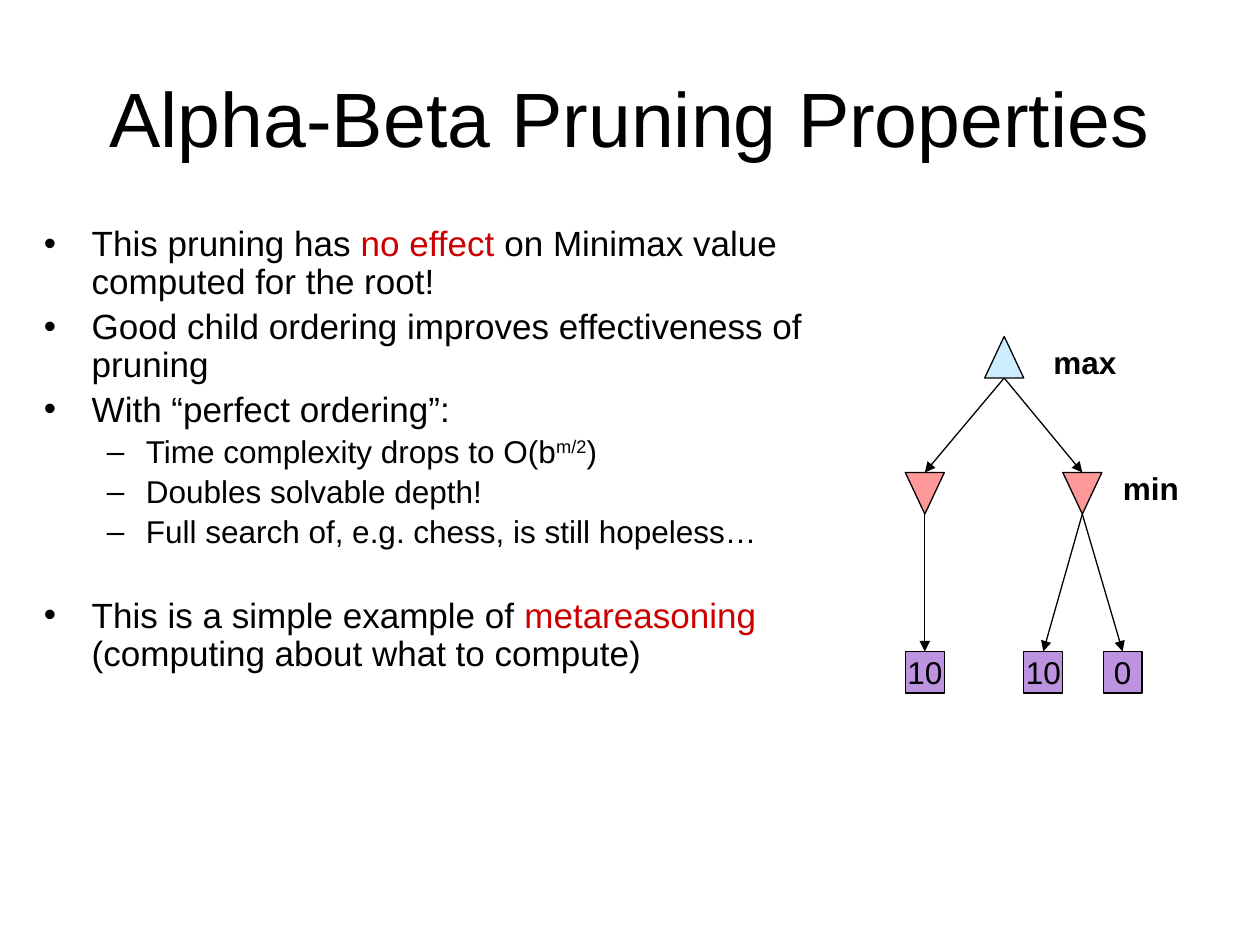
from lxml import etree
from pptx import Presentation
from pptx import util as u
from pptx.dml.color import RGBColor
from pptx.enum import shapes, text
from pptx.oxml.ns import qn

BLACK, RED = "000000", "CC0000"
MAX_FILL, MIN_FILL, LEAF_FILL = "CCECFF", "FF9999", "BD92DE"
NODE_WIDTH, NODE_HEIGHT = 0.31, 0.33
MAX_TOP, MIN_TOP, LEAF_TOP = 2.67, 3.75, 5.17

# Level: bullet, left margin, hanging indent, size, space before
LEVELS = [("•", 0.38, 0.38, 20, 4), ("–", 0.81, 0.31, 18, 3.6)]

# Each item: level, then runs of (text, style)
ITEMS = [
    (0, [("This pruning has ", ""), ("no effect", "red"),
         (" on Minimax value computed for the root!", "")]),
    (0, [("Good child ordering improves effectiveness of pruning", "")]),
    (0, [("With “perfect ordering”:", "")]),
    (1, [("Time complexity drops to O(b", ""), ("m/2", "super"), (")", "")]),
    (1, [("Doubles solvable depth!", "")]),
    (1, [("Full search of, e.g. chess, is still hopeless…", "")]),
    (0, [("This is a simple example of ", ""), ("metareasoning ", "red"),
         ("(computing about what to compute)", "")]),
]
LAST_ITEM_GAP = 27


def color(value):
    return RGBColor.from_string(value)


def style_run(run, size, value=BLACK, bold=False):
    run.font.name = "Arial"
    run.font.size = u.Pt(size)
    run.font.bold = bold
    run.font.color.rgb = color(value)


def add_text_box(slide, left, top, width, height, anchor):
    shape = slide.shapes.add_textbox(*map(u.Inches, (left, top, width, height)))
    shape.text_frame.word_wrap = True
    shape.text_frame.vertical_anchor = anchor
    return shape.text_frame


def add_label(slide, box, words, size, bold=False):
    frame = add_text_box(slide, *box, text.MSO_ANCHOR.MIDDLE)
    frame.text = words
    paragraph = frame.paragraphs[0]
    paragraph.alignment = text.PP_ALIGN.CENTER
    style_run(paragraph.runs[0], size, bold=bold)


def add_bullet(paragraph, level):
    bullet, margin, hanging, _, _ = LEVELS[level]
    paragraph.level = level
    properties = paragraph._p.get_or_add_pPr()
    properties.set("marL", str(u.Inches(margin)))
    properties.set("indent", str(-u.Inches(hanging)))
    etree.SubElement(properties, qn("a:buFont"), typeface="Arial")
    etree.SubElement(properties, qn("a:buChar"), char=bullet)


def add_bullet_list(slide):
    frame = add_text_box(slide, 0.25, 1.75, 6.83, 4.95, text.MSO_ANCHOR.TOP)
    for index, (level, runs) in enumerate(ITEMS):
        paragraph = frame.add_paragraph() if index else frame.paragraphs[0]
        add_bullet(paragraph, level)
        size, space = LEVELS[level][3:]
        paragraph.line_spacing = 0.9
        if index:
            last = index == len(ITEMS) - 1
            paragraph.space_before = u.Pt(LAST_ITEM_GAP if last else space)
        for words, style in runs:
            run = paragraph.add_run()
            run.text = words
            style_run(run, size, RED if style == "red" else BLACK)
            if style == "super":
                run.font._element.set("baseline", "30000")


def add_node(slide, kind, center, top, fill, rotation=0):
    shape = slide.shapes.add_shape(
        kind, u.Inches(center - NODE_WIDTH / 2), u.Inches(top),
        u.Inches(NODE_WIDTH), u.Inches(NODE_HEIGHT))
    shape.rotation = rotation
    shape.shadow.inherit = False
    shape.fill.solid()
    shape.fill.fore_color.rgb = color(fill)
    shape.line.color.rgb = color(BLACK)
    shape.line.width = u.Pt(0.75)
    return shape


def add_leaf(slide, center, value):
    shape = add_node(slide, shapes.MSO_SHAPE.RECTANGLE, center, LEAF_TOP, LEAF_FILL)
    frame = shape.text_frame
    frame.word_wrap = False
    frame.vertical_anchor = text.MSO_ANCHOR.MIDDLE
    frame.text = value
    paragraph = frame.paragraphs[0]
    paragraph.alignment = text.PP_ALIGN.CENTER
    style_run(paragraph.runs[0], 18)


def add_arrow(slide, start_x, parent_top, end_x, end_y):
    line = slide.shapes.add_connector(
        shapes.MSO_CONNECTOR.STRAIGHT, u.Inches(start_x),
        u.Inches(parent_top + NODE_HEIGHT), u.Inches(end_x), u.Inches(end_y))
    line.line.color.rgb = color(BLACK)
    line.line.width = u.Pt(0.75)
    etree.SubElement(line.line._get_or_add_ln(), qn("a:tailEnd"), type="triangle")
    etree.SubElement(line._element.spPr, qn("a:effectLst"))


def add_tree(slide):
    root = 7.97
    # Each min node: centre, then its leaves as (centre, value)
    branches = [(7.34, [(7.34, "10")]), (8.59, [(8.28, "10"), (8.91, "0")])]
    triangle = shapes.MSO_SHAPE.ISOSCELES_TRIANGLE
    add_node(slide, triangle, root, MAX_TOP, MAX_FILL)
    for center, leaves in branches:
        add_node(slide, triangle, center, MIN_TOP, MIN_FILL, rotation=180)
        add_arrow(slide, root, MAX_TOP, center, MIN_TOP)
        for leaf, value in leaves:
            add_leaf(slide, leaf, value)
            add_arrow(slide, center, MIN_TOP, leaf, LEAF_TOP)

    # Names of the two player levels
    add_label(slide, (8.14, 2.67, 0.94, 0.4), "max", 18, bold=True)
    add_label(slide, (8.75, 3.67, 0.77, 0.4), "min", 18, bold=True)


def main():
    presentation = Presentation()
    presentation.slide_width = u.Inches(10)
    presentation.slide_height = u.Inches(7.5)
    slide = presentation.slides.add_slide(presentation.slide_layouts[6])
    add_label(slide, (0.5, 0.3, 9, 1.25), "Alpha-Beta Pruning Properties", 44)
    add_bullet_list(slide)
    add_tree(slide)
    presentation.save("out.pptx")


if __name__ == "__main__":
    main()
